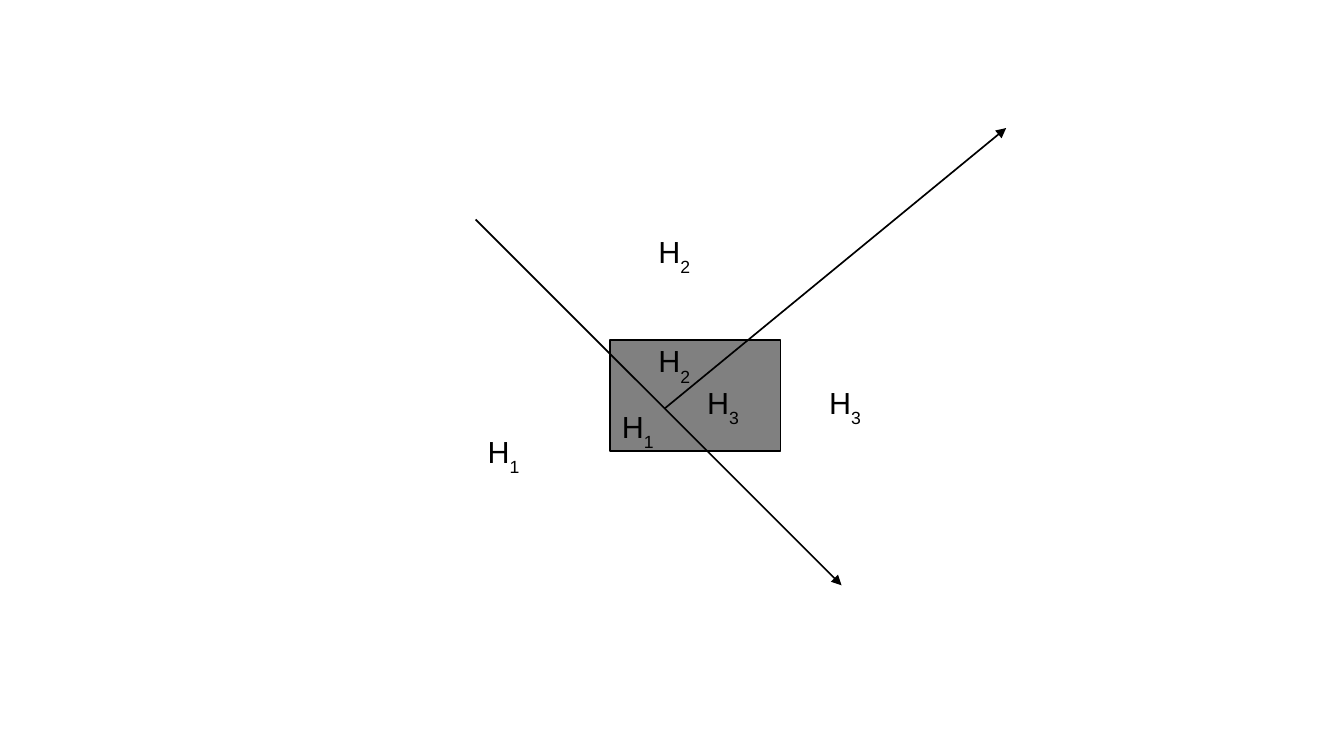
"""Build a slide showing a rectangle split into three regions by two arrows."""
from dataclasses import dataclass

from lxml import etree
from pptx import Presentation
from pptx import util as u
from pptx.dml.color import RGBColor
from pptx.enum import shapes
from pptx.oxml import ns
from pptx.slide import Slide


@dataclass(frozen=True)
class Theme:
    """Colours, type and line sizes of the slide."""
    ink: RGBColor = RGBColor(0x00, 0x00, 0x00)
    region_fill: RGBColor = RGBColor(0x80, 0x80, 0x80)
    font: str = "Arial"
    label_size: u.Pt = u.Pt(18)
    line_width: u.Pt = u.Pt(0.99)
    subscript: str = "-33000"


@dataclass(frozen=True)
class Label:
    """A letter H with its index, placed by its top left corner in inches."""
    index: int
    left: float
    top: float


@dataclass(frozen=True)
class Arrow:
    """An arrow between two points in inches, with its head at the end."""
    start: tuple[float, float]
    end: tuple[float, float]


THEME = Theme()
LABEL_WIDTH, LABEL_HEIGHT = 0.9, 0.44
ARROWS = (
    Arrow((3.9, 1.8), (6.9, 4.8)),
    Arrow((5.45, 3.35), (8.25, 1.05)),
)
OUTER_LABELS = (Label(1, 3.9, 3.5), Label(2, 5.3, 1.86), Label(3, 6.7, 3.1))
INNER_LABELS = (Label(1, 5, 3.3), Label(2, 5.3, 2.76), Label(3, 5.7, 3.1))


def add_rectangle(slide: Slide) -> None:
    """Draw the grey rectangle that the arrows divide."""
    rectangle = slide.shapes.add_shape(
        shapes.MSO_SHAPE.RECTANGLE,
        u.Inches(5), u.Inches(2.79), u.Inches(1.4), u.Inches(0.91))
    rectangle.shadow.inherit = False
    rectangle.fill.solid()
    rectangle.fill.fore_color.rgb = THEME.region_fill
    rectangle.line.color.rgb = THEME.ink
    rectangle.line.width = THEME.line_width


def add_arrow(slide: Slide, arrow: Arrow) -> None:
    """Draw one straight line with a triangular head and no shadow."""
    connector = slide.shapes.add_connector(
        shapes.MSO_CONNECTOR.STRAIGHT,
        *(u.Inches(value) for value in arrow.start + arrow.end))
    connector.line.color.rgb = THEME.ink
    connector.line.width = THEME.line_width
    properties = connector._element.spPr
    outline = properties.find(ns.qn("a:ln"))
    etree.SubElement(outline, ns.qn("a:tailEnd"), type="triangle")
    etree.SubElement(properties, ns.qn("a:effectLst"))


def add_label(slide: Slide, label: Label) -> None:
    """Write H followed by its index as a subscript."""
    box = slide.shapes.add_textbox(
        u.Inches(label.left), u.Inches(label.top),
        u.Inches(LABEL_WIDTH), u.Inches(LABEL_HEIGHT))
    box.text_frame.word_wrap = True
    box.text_frame.text = "H"
    paragraph = box.text_frame.paragraphs[0]
    index = paragraph.add_run()
    index.text = str(label.index)
    for run in paragraph.runs:
        run.font.name = THEME.font
        run.font.size = THEME.label_size
        run.font.color.rgb = THEME.ink
    index._r.get_or_add_rPr().set("baseline", THEME.subscript)


def main() -> None:
    """Create the presentation and save it."""
    presentation = Presentation()
    presentation.slide_width = u.Inches(11.02)
    presentation.slide_height = u.Inches(6.2)
    slide = presentation.slides.add_slide(presentation.slide_layouts[6])
    add_rectangle(slide)
    for arrow in ARROWS:
        add_arrow(slide, arrow)
    for label in OUTER_LABELS + INNER_LABELS:
        add_label(slide, label)
    presentation.save("out.pptx")


main()
